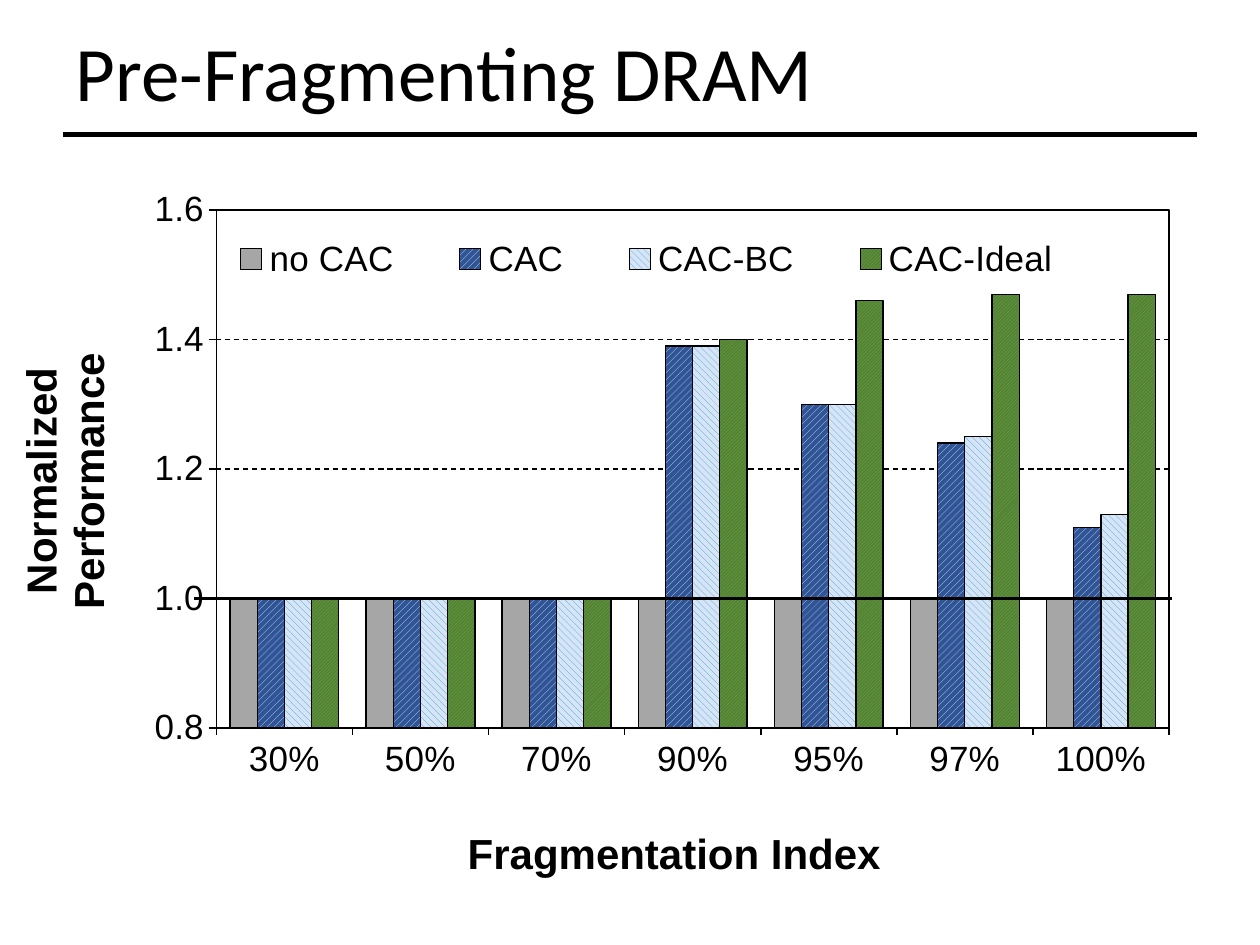
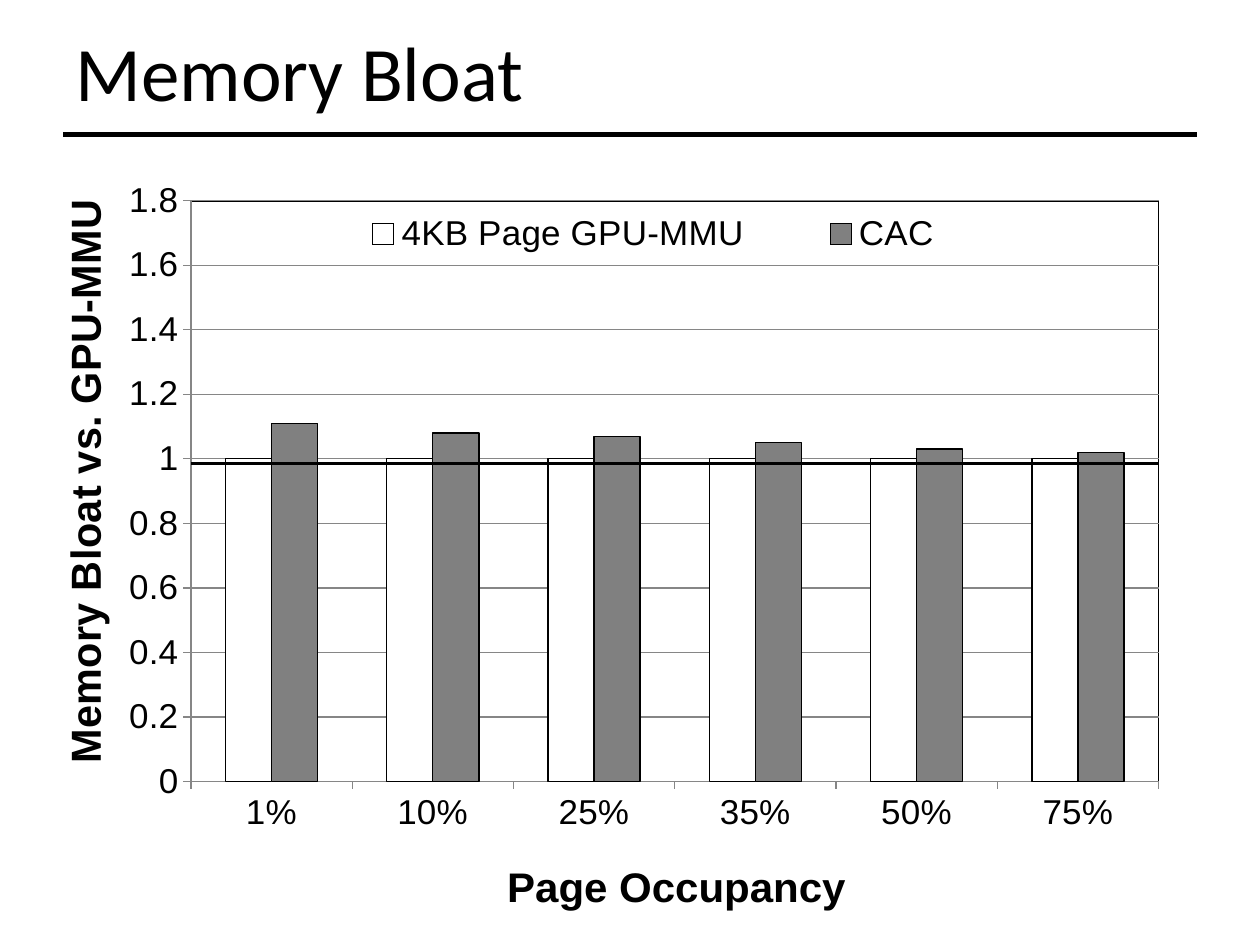
from dataclasses import dataclass

import lxml.etree
import pptx
import pptx.chart.data
import pptx.dml.color
import pptx.enum.chart
import pptx.enum.dml
import pptx.enum.shapes
import pptx.enum.text
import pptx.oxml
import pptx.oxml.ns
import pptx.util

Inches = pptx.util.Inches
Pt = pptx.util.Pt
qn = pptx.oxml.ns.qn
PATTERN = pptx.enum.dml.MSO_PATTERN
TICK = pptx.enum.chart.XL_TICK_MARK


@dataclass(frozen=True)
class Theme:
    black: str = "000000"
    white: str = "FFFFFF"
    axis_grey: str = "868686"
    bar_grey: str = "808080"
    light_grey: str = "A6A6A6"
    dark_blue: str = "2F5597"
    pale_blue: str = "DAE3F3"
    sky_blue: str = "00B0F0"
    green: str = "70AD47"
    dark_green: str = "548235"
    title_font: str = "Calibri"
    chart_font: str = "Arial"
    title_size: int = 44
    axis_title_size: int = 24
    label_size: int = 20
    hairline: float = 0.75
    frame: float = 1
    baseline: float = 2
    rule: float = 3


def rgb(color):
    return pptx.dml.color.RGBColor.from_string(color)


def style_line(line, color, width, dash=None):
    line.color.rgb = rgb(color)
    line.width = Pt(width)
    if dash:
        line.dash_style = dash


def place(el, x, y, w=None, h=None, inner=False):
    """Give a chart part a manual layout in fractions of the chart."""
    layout = el.find(qn("c:layout"))
    if layout is None:
        layout = lxml.etree.Element(qn("c:layout"))
        el.insert(0 if el.tag == qn("c:plotArea") else 1, layout)
    manual = lxml.etree.SubElement(layout, qn("c:manualLayout"))
    settings = [("layoutTarget", "inner")] if inner else []
    settings += [("xMode", "edge"), ("yMode", "edge"), ("x", x), ("y", y)]
    if w is not None:
        settings += [("w", w), ("h", h)]
    for name, value in settings:
        lxml.etree.SubElement(manual, qn(f"c:{name}")).set("val", str(value))


class Deck:
    def __init__(self, theme):
        self.theme = theme
        self.prs = pptx.Presentation()
        self.prs.slide_width, self.prs.slide_height = Inches(10), Inches(7.5)
        self.s = None

    def style_font(self, font, size, name=None, bold=False):
        font.name = name or self.theme.chart_font
        font.size = Pt(size)
        font.bold = bold
        font.color.rgb = rgb(self.theme.black)

    def slide(self, title):
        """Start a slide with its title and the rule below it."""
        self.s = self.prs.slides.add_slide(self.prs.slide_layouts[5])
        sp = self.s.shapes.title
        sp.left, sp.top, sp.width, sp.height = map(Inches, (0.5, 0.14, 9, 0.93))
        tf = sp.text_frame
        tf.auto_size = pptx.enum.text.MSO_AUTO_SIZE.NONE
        tf.vertical_anchor = pptx.enum.text.MSO_ANCHOR.MIDDLE
        p = tf.paragraphs[0]
        p.alignment = pptx.enum.text.PP_ALIGN.LEFT
        p.line_spacing = 0.9
        r = p.add_run()
        r.text = title
        self.style_font(r.font, self.theme.title_size, self.theme.title_font)
        self.hline(0.5, 9.5, 1.07, self.theme.rule)

    def hline(self, x1, x2, y, width):
        cx = self.s.shapes.add_connector(
            pptx.enum.shapes.MSO_CONNECTOR.STRAIGHT,
            Inches(x1), Inches(y), Inches(x2), Inches(y))
        style_line(cx.line, self.theme.black, width)
        lxml.etree.SubElement(cx._element.spPr, qn("a:effectLst"))

    def columns(self, box, categories, series, gap, plot_box, legend_box):
        """Add a clustered column chart; series are (name, values, fill)."""
        data = pptx.chart.data.CategoryChartData()
        data.categories = categories
        data.categories.number_format = "0%"
        for name, values, _ in series:
            data.add_series(name, values)
        chart = self.s.shapes.add_chart(
            pptx.enum.chart.XL_CHART_TYPE.COLUMN_CLUSTERED,
            *map(Inches, box), data).chart
        chart.has_title = False
        self.style_font(chart.font, self.theme.label_size)
        plot = chart.plots[0]
        plot.gap_width, plot.overlap, plot.vary_by_categories = gap, 0, False
        for ser, (_, _, fill) in zip(plot.series, series):
            self.fill_bars(ser, fill)
        chart.has_legend = True
        chart.legend.position = pptx.enum.chart.XL_LEGEND_POSITION.RIGHT
        chart.legend.include_in_layout = False
        self.style_font(chart.legend.font, self.theme.label_size)
        place(chart.legend._element, *legend_box)
        self.frame_plot(chart, plot_box)
        return chart

    def fill_bars(self, ser, fill):
        """Fill with one colour, or with (pattern, foreground, background)."""
        ser.invert_if_negative = False
        if isinstance(fill, str):
            ser.format.fill.solid()
            ser.format.fill.fore_color.rgb = rgb(fill)
        else:
            pattern, fore, back = fill
            ser.format.fill.patterned()
            ser.format.fill.pattern = pattern
            ser.format.fill.fore_color.rgb = rgb(fore)
            ser.format.fill.back_color.rgb = rgb(back)
        style_line(ser.format.line, self.theme.black, self.theme.hairline)

    def frame_plot(self, chart, plot_box):
        area = chart._chartSpace.find(".//" + qn("c:plotArea"))
        place(area, *plot_box, inner=True)
        area.append(pptx.oxml.parse_xml(
            f'<c:spPr {pptx.oxml.ns.nsdecls("c", "a")}><a:noFill/>'
            f'<a:ln w="{Pt(self.theme.frame)}"><a:solidFill>'
            f'<a:srgbClr val="{self.theme.black}"/>'
            '</a:solidFill></a:ln></c:spPr>'))

    def axis(self, axis, lines, title_at, number_format, color, width):
        axis.major_tick_mark, axis.minor_tick_mark = TICK.OUTSIDE, TICK.NONE
        axis.tick_labels.number_format = number_format
        axis.tick_labels.number_format_is_linked = False
        self.style_font(axis.tick_labels.font, self.theme.label_size)
        style_line(axis.format.line, color, width)
        axis.has_title = True
        tf = axis.axis_title.text_frame
        for i, line in enumerate(lines):
            p = tf.add_paragraph() if i else tf.paragraphs[0]
            p.alignment = pptx.enum.text.PP_ALIGN.CENTER
            self.style_font(p.font, self.theme.axis_title_size, bold=True)
            r = p.add_run()
            r.text = line
            self.style_font(r.font, self.theme.axis_title_size, bold=True)
        place(axis.axis_title._element, *title_at)

    def value_axis(self, chart, lines, title_at, number_format, color, width,
                   low, high, dash=None):
        """Format the value axis, its scale and its gridlines."""
        axis = chart.value_axis
        self.axis(axis, lines, title_at, number_format, color, width)
        body = axis.axis_title._element.find(".//" + qn("a:bodyPr"))
        body.set("rot", "-5400000")
        body.set("vert", "horz")
        axis.minimum_scale, axis.maximum_scale, axis.major_unit = low, high, 0.2
        axis.has_major_gridlines = True
        style_line(axis.major_gridlines.format.line, color,
                   self.theme.hairline, dash)


def fragmentation_slide(deck):
    t = deck.theme
    deck.slide("Pre-Fragmenting DRAM")
    chart = deck.columns(
        (0, 1.23, 9.87, 5.92),
        [0.3, 0.5, 0.7, 0.9, 0.95, 0.97, 1],
        [("no CAC", [1] * 7, t.light_grey),
         ("CAC", [1, 1, 1, 1.39, 1.3, 1.24, 1.11],
          (PATTERN.WIDE_UPWARD_DIAGONAL, t.pale_blue, t.dark_blue)),
         ("CAC-BC", [1, 1, 1, 1.39, 1.3, 1.25, 1.13],
          (PATTERN.WIDE_DOWNWARD_DIAGONAL, t.sky_blue, t.pale_blue)),
         ("CAC-Ideal", [1, 1, 1, 1.4, 1.46, 1.47, 1.47],
          (PATTERN.LIGHT_UPWARD_DIAGONAL, t.green, t.dark_green))],
        gap=100, plot_box=(0.174, 0.074, 0.766, 0.694),
        legend_box=(0.15, 0.1, 0.74, 0.08))
    deck.axis(chart.category_axis, ["Fragmentation Index"], (0.37, 0.89),
              "0%", t.black, t.frame)
    deck.value_axis(chart, ["Normalized", "Performance"], (0.01, 0.26),
                    "#,##0.0", t.black, t.frame, 0.8, 1.6,
                    pptx.enum.dml.MSO_LINE.DASH)
    deck.hline(1.54, 9.3, 4.75, t.baseline)


def bloat_slide(deck):
    t = deck.theme
    deck.slide("Memory Bloat")
    chart = deck.columns(
        (0.21, 1.29, 9.39, 6.04),
        [0.01, 0.1, 0.25, 0.35, 0.5, 0.75],
        [("4KB Page GPU-MMU", [1] * 6, t.white),
         ("CAC", [1.11, 1.08, 1.07, 1.05, 1.03, 1.02], t.bar_grey)],
        gap=150, plot_box=(0.139, 0.051, 0.818, 0.775),
        legend_box=(0.23, 0.06, 0.6, 0.07))
    deck.axis(chart.category_axis, ["Page Occupancy"], (0.4, 0.92),
              "0%", t.axis_grey, t.hairline)
    deck.value_axis(chart, ["Memory Bloat vs. GPU-MMU"], (0.02, 0.05),
                    "General", t.axis_grey, t.hairline, 0, 1.8)
    deck.hline(1.52, 9.2, 3.68, t.baseline)


def main():
    deck = Deck(Theme())
    fragmentation_slide(deck)
    bloat_slide(deck)
    deck.prs.save("out.pptx")


if __name__ == "__main__":
    main()
